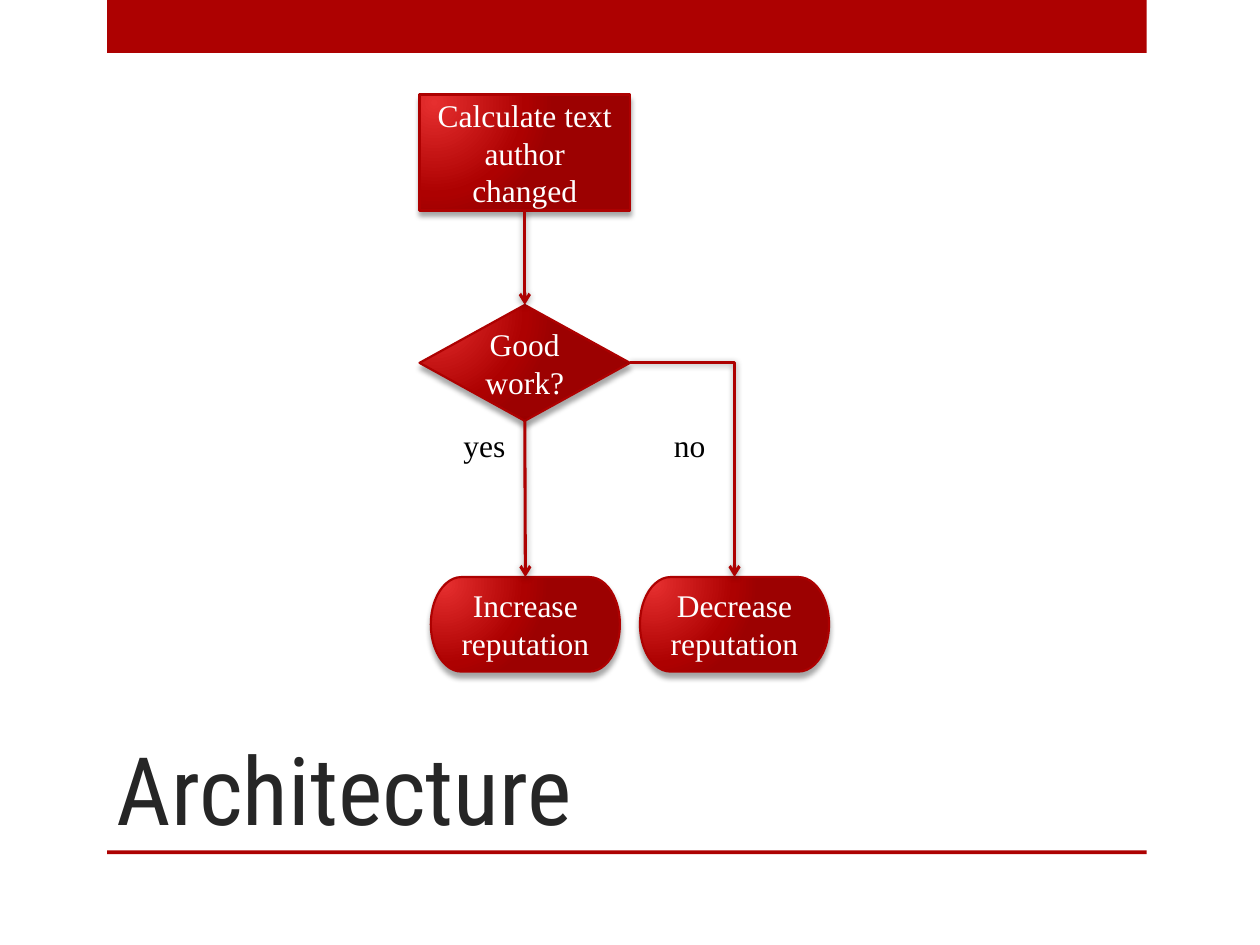
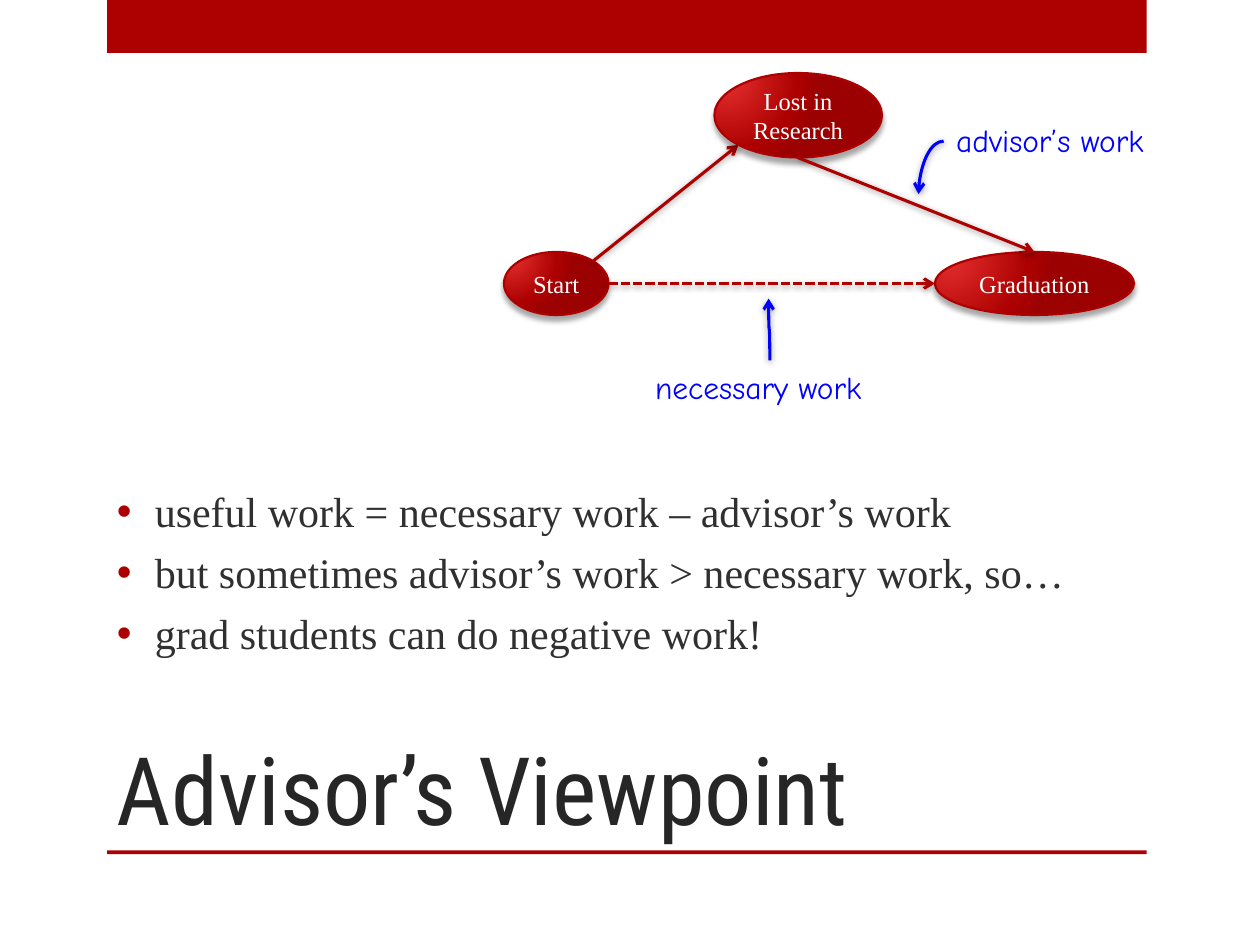
from pptx import Presentation
from pptx.dml.color import RGBColor
from pptx.enum.dml import MSO_LINE
from pptx.enum.shapes import MSO_CONNECTOR as LINK, MSO_SHAPE as SHAPE
from pptx.enum.text import MSO_ANCHOR, PP_ALIGN
from pptx.oxml import parse_xml
from pptx.oxml.ns import nsdecls, qn
from pptx.util import Inches, Pt

RED = RGBColor(0xAD, 0x01, 0x01)
LIGHT = RGBColor(0xE6, 0x2F, 0x2F)
DARK = RGBColor(0x9C, 0x01, 0x01)
BLUE = RGBColor(0x00, 0x00, 0xFF)
BLACK = RGBColor(0x00, 0x00, 0x00)
WHITE = RGBColor(0xFF, 0xFF, 0xFF)
INK = RGBColor(0x26, 0x26, 0x26)
GREY = RGBColor(0x30, 0x30, 0x30)
SERIF, HEAD, HAND = "Times New Roman", "Roboto Condensed", "Comic Neue"
STOPS = [(0, LIGHT), (76, RED), (100, DARK)]


def make(tag, inner="", attrs=""):
    return parse_xml(f"<a:{tag} {nsdecls('a')} {attrs}>{inner}</a:{tag}>")


def shadow(alpha, blur, dist, angle):
    return make(
        "outerShdw",
        f'<a:srgbClr val="{BLACK}"><a:alpha val="{alpha * 1000}"/></a:srgbClr>',
        f'blurRad="{Pt(blur)}" dist="{Pt(dist)}" dir="{angle * 60000}" rotWithShape="0"')


class Deck:
    def __init__(self):
        self.prs = Presentation()
        self.prs.slide_width, self.prs.slide_height = Inches(10), Inches(7.5)

    def page(self, title):
        """Start a slide with its top band, bottom rule and title."""
        self.slide = self.prs.slides.add_slide(self.prs.slide_layouts[6])
        for top, height in ((0, 0.42), (6.75, 0.03)):
            band = self.shape(SHAPE.RECTANGLE, 0.85, top, 8.25, height)
            band.fill.solid()
            band.fill.fore_color.rgb = RED
            band.line.fill.background()
        self.text([title], 0.83, 5, 7.42, 1.75, 54, HEAD, INK)

    def shape(self, kind, x, y, w, h):
        shape = self.slide.shapes.add_shape(
            kind, Inches(x), Inches(y), Inches(w), Inches(h))
        shape.shadow.inherit = False
        return shape

    def run(self, para, words, size, font, color):
        run = para.add_run()
        run.text = words
        run.font.size, run.font.name = Pt(size), font
        run.font.color.rgb = color

    def node(self, kind, words, x, y, w, h, size=18):
        """Glossy red flowchart node."""
        node = self.shape(kind, x, y, w, h)
        props = node._element.spPr
        node.fill.background()
        stops = "".join(f'<a:gs pos="{pos * 1000}"><a:srgbClr val="{color}"/></a:gs>'
                        for pos, color in STOPS)
        props.replace(props.find(qn("a:noFill")), make(
            "gradFill",
            f'<a:gsLst>{stops}</a:gsLst><a:path path="circle">'
            '<a:fillToRect l="15000" t="15000" r="100000" b="100000"/></a:path>'))
        node.line.color.rgb, node.line.width = RED, Pt(1.25)
        props.find(qn("a:effectLst")).append(shadow(35, 3, 3, 90))
        frame = node.text_frame
        frame.word_wrap, frame.vertical_anchor = True, MSO_ANCHOR.MIDDLE
        para = frame.paragraphs[0]
        para.alignment = PP_ALIGN.CENTER
        self.run(para, words, size, SERIF, WHITE)
        return node

    def text(self, lines, x, y, w, h, size, font, color, bullet=False):
        """Text resting on the bottom of its box."""
        box = self.slide.shapes.add_textbox(Inches(x), Inches(y), Inches(w), Inches(h))
        frame = box.text_frame
        frame.word_wrap, frame.vertical_anchor = True, MSO_ANCHOR.BOTTOM
        for i, words in enumerate(lines):
            para = frame.add_paragraph() if i else frame.paragraphs[0]
            self.run(para, words, size, font, color)
            if bullet:
                para.space_before = Pt(6)
                props = para._p.get_or_add_pPr()
                props.set("marL", str(Inches(0.3)))
                props.set("indent", str(-Inches(0.3)))
                props.append(make("buClr", f'<a:srgbClr val="{RED}"/>'))
                props.append(make("buFont", attrs='typeface="Arial"'))
                props.append(make("buChar", attrs='char="•"'))
        return frame

    def label(self, words, x, y, w, font=SERIF, color=BLACK):
        frame = self.text([words], x, y, w, 0.4, 18, font, color)
        frame.word_wrap, frame.vertical_anchor = False, MSO_ANCHOR.TOP

    def arrow(self, x1, y1, x2, y2, kind=LINK.STRAIGHT, color=RED, form=None, turn=0):
        """Arrow from one point to another; form names another preset."""
        link = self.slide.shapes.add_connector(
            kind, Inches(x1), Inches(y1), Inches(x2), Inches(y2))
        link.line.color.rgb, link.line.width = color, Pt(1.75)
        link.line._get_or_add_ln().append(make("tailEnd", attrs='type="arrow"'))
        props = link._element.spPr
        glow = make("effectLst")
        glow.append(shadow(40, 4, 1, 88))
        props.append(glow)
        if form:
            props.find(qn("a:prstGeom")).set("prst", form)
        if turn:
            props.find(qn("a:xfrm")).set("rot", str(turn * 60000))
        return link

    def join(self, upper, lower):
        """Arrow from the bottom of one node to the top of the next."""
        link = self.arrow(0, 0, 1, 1)
        link.begin_connect(upper, 2)
        link.end_connect(lower, 0)


def flow(deck):
    deck.page("Architecture")
    # Nodes
    calc = deck.node(SHAPE.FLOWCHART_PROCESS, "Calculate text author changed",
                     3.33, 0.75, 1.67, 0.92)
    good = deck.node(SHAPE.FLOWCHART_DECISION, "Good work?", 3.33, 2.42, 1.67, 0.92)
    more, _ = [deck.node(SHAPE.FLOWCHART_TERMINATOR, f"{verb} reputation",
                         x, 4.58, 1.5, 0.75)
               for verb, x in (("Increase", 3.42), ("Decrease", 5.08))]
    # Arrows and their answers
    deck.join(calc, good)
    deck.join(good, more)
    deck.arrow(5, 2.88, 5.83, 4.58, LINK.ELBOW, form="bentConnector2")
    deck.label("yes", 3.58, 3.33, 0.55)
    deck.label("no", 5.25, 3.33, 0.45)


def view(deck):
    deck.page("Advisor’s Viewpoint")
    # States and paths
    deck.node(SHAPE.OVAL, "Start", 4, 2, 0.83, 0.5, 14)
    deck.arrow(4.71, 2.07, 5.86, 1.15)
    deck.node(SHAPE.FLOWCHART_CONNECTOR, "Lost in Research", 5.67, 0.58, 1.33, 0.67, 14)
    deck.node(SHAPE.OVAL, "Graduation", 7.42, 2, 1.58, 0.5, 14)
    deck.arrow(6.33, 1.25, 8.21, 2)
    deck.arrow(4.83, 2.25, 7.42, 2.25).line.dash_style = MSO_LINE.SQUARE_DOT
    # Points
    deck.text(["useful work = necessary work – advisor’s work",
               "but sometimes advisor’s work > necessary work, so…",
               "grad students can do negative work!"],
              0.83, 2.35, 8.25, 2.92, 24, SERIF, GREY, bullet=True)
    # Handwritten remarks
    deck.label("necessary work", 5.1, 2.87, 2.01, HAND, BLUE)
    deck.label("advisor’s work", 7.49, 0.91, 1.86, HAND, BLUE)
    deck.arrow(7.49, 1.12, 7.29, 1.54, LINK.CURVE, BLUE, "curvedConnector2")
    deck.arrow(5.86, 2.62, 6.35, 2.61, LINK.CURVE, BLUE, turn=270)


def main():
    deck = Deck()
    flow(deck)
    view(deck)
    deck.prs.save("out.pptx")


if __name__ == "__main__":
    main()
